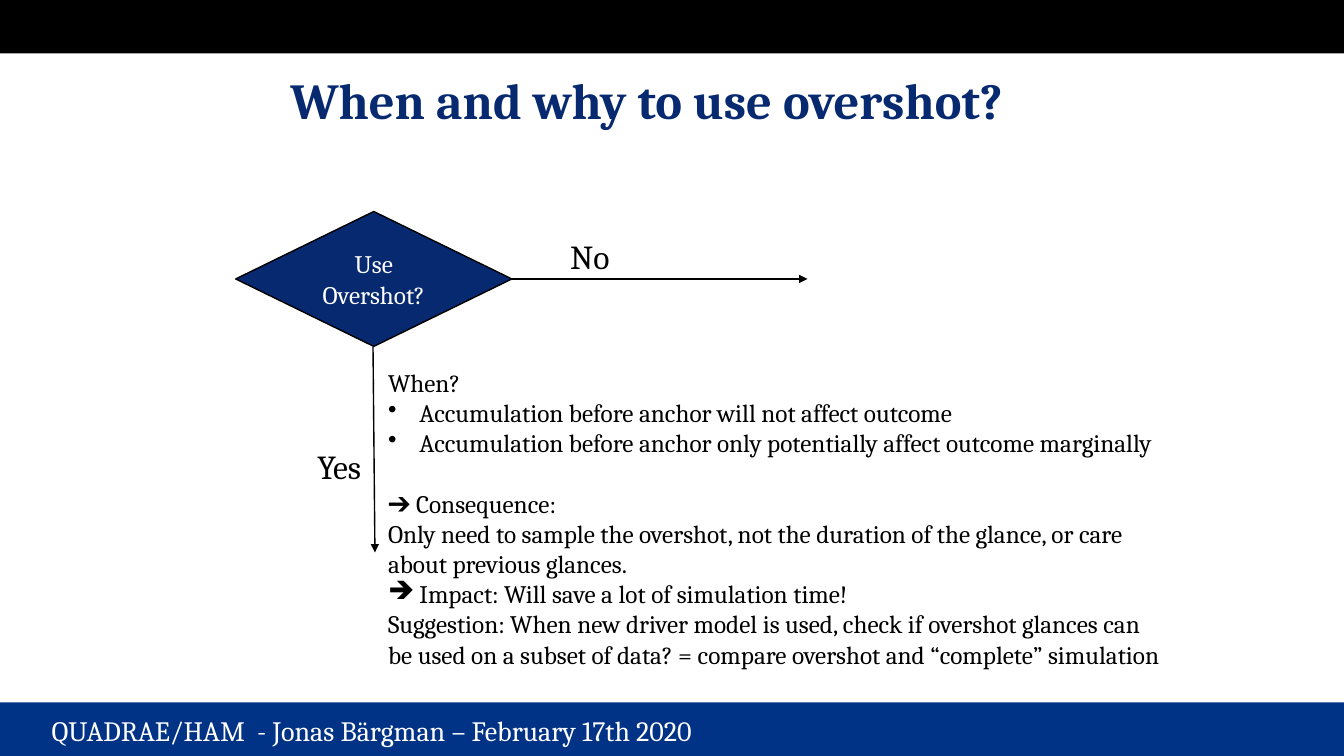
from dataclasses import dataclass

from lxml import etree
from pptx import Presentation
from pptx.dml.color import RGBColor
from pptx.enum.shapes import MSO_CONNECTOR, MSO_SHAPE
from pptx.enum.text import MSO_ANCHOR, PP_ALIGN
from pptx.oxml.ns import qn
from pptx.shapes.autoshape import Shape
from pptx.slide import Slide
from pptx.text.text import TextFrame
from pptx.util import Cm, Pt

RECT = MSO_SHAPE.RECTANGLE
CHOICE = MSO_SHAPE.FLOWCHART_DECISION
STRAIGHT = MSO_CONNECTOR.STRAIGHT
LEFT = PP_ALIGN.LEFT
CENTER = PP_ALIGN.CENTER
MIDDLE = MSO_ANCHOR.MIDDLE


@dataclass(frozen=True)
class Theme:
    font: str = "Cambria"
    black: str = "000000"
    white: str = "FFFFFF"
    navy: str = "072970"
    blue: str = "003286"
    title: int = 36
    label: int = 24
    foot: int = 20
    body: int = 18


@dataclass(frozen=True)
class Box:
    left: float
    top: float
    width: float
    height: float

    def size(self) -> tuple[Cm, Cm, Cm, Cm]:
        return Cm(self.left), Cm(self.top), Cm(self.width), Cm(self.height)


@dataclass(frozen=True)
class Label:
    text: str
    box: Box
    size: int
    color: str
    wrap: bool = True


@dataclass(frozen=True)
class Arrow:
    x1: float
    y1: float
    x2: float
    y2: float


@dataclass(frozen=True)
class Line:
    text: str
    mark: str = ""
    gap: float = 0


THEME = Theme()
WIDTH, HEIGHT, BAND = 33.87, 19.05, 1.35
TITLE = Box(3.94, 0.91, 24.71, 3.18)
DIAMOND = Box(5.94, 5.33, 6.96, 3.4)
NOTES = Box(9.53, 9.12, 19.99, 8.71)

BANDS = [
    (Box(0, 0, WIDTH, BAND), THEME.black),
    (Box(0, HEIGHT - BAND, WIDTH, BAND), THEME.blue),
]
LABELS = [
    Label("QUADRAE/HAM  - Jonas Bärgman – February 17th 2020",
          Box(1.05, 17.86, 32.82, 1.11), THEME.foot, THEME.white),
    Label("No", Box(14.12, 5.82, 1.55, 1.27), THEME.label, THEME.black, False),
    Label("Yes", Box(7.75, 11.1, 1.75, 1.27), THEME.label, THEME.black, False),
]
ARROWS = [Arrow(9.4, 8.74, 9.45, 13.92), Arrow(12.88, 7.03, 20.35, 7.03)]
LINES = [
    Line("When?"),
    Line("Accumulation before anchor will not affect outcome", "•"),
    Line("Accumulation before anchor only potentially affect outcome marginally", "•"),
    Line("➔ Consequence:", gap=21.6),
    Line("Only need to sample the overshot, not the duration of the glance, "
         "or care about previous glances."),
    Line("Impact: Will save a lot of simulation time!", "➔"),
    Line("Suggestion: When new driver model is used, check if overshot glances can "
         "be used on a subset of data? = compare overshot and “complete” simulation"),
]


def style(frame: TextFrame, size: int, color: str,
          align: PP_ALIGN = LEFT, bold: bool = False) -> None:
    for para in frame.paragraphs:
        para.alignment = align
        for run in para.runs:
            run.font.name = THEME.font
            run.font.size = Pt(size)
            run.font.bold = bold
            run.font.color.rgb = RGBColor.from_string(color)


def add_form(slide: Slide, kind: MSO_SHAPE, box: Box, color: str) -> Shape:
    form = slide.shapes.add_shape(kind, *box.size())
    form.shadow.inherit = False
    form.fill.solid()
    form.fill.fore_color.rgb = RGBColor.from_string(color)
    form.line.fill.background()
    return form


def add_label(slide: Slide, label: Label) -> None:
    frame = slide.shapes.add_textbox(*label.box.size()).text_frame
    frame.word_wrap = label.wrap
    frame.text = label.text
    style(frame, label.size, label.color)


def add_arrow(slide: Slide, arrow: Arrow) -> None:
    link = slide.shapes.add_connector(
        STRAIGHT, Cm(arrow.x1), Cm(arrow.y1), Cm(arrow.x2), Cm(arrow.y2))
    link.line.width = Pt(1)
    link.line.color.rgb = RGBColor.from_string(THEME.black)
    props = link._element.spPr
    etree.SubElement(props.find(qn("a:ln")), qn("a:tailEnd"), type="triangle")
    etree.SubElement(props, qn("a:effectLst"))


def add_title(slide: Slide) -> None:
    title = slide.shapes.title
    title.left, title.top, title.width, title.height = TITLE.size()
    frame = title.text_frame
    frame.text = "When and why to use overshot?"
    frame.vertical_anchor = MIDDLE
    style(frame, THEME.title, THEME.navy, CENTER, True)


def add_choice(slide: Slide) -> None:
    form = add_form(slide, CHOICE, DIAMOND, THEME.navy)
    form.line.width = Pt(1)
    form.line.color.rgb = RGBColor.from_string(THEME.black)
    frame = form.text_frame
    frame.text = "Use Overshot?"
    frame.word_wrap = True
    frame.vertical_anchor = MIDDLE
    style(frame, THEME.body, THEME.white, CENTER)


def add_notes(slide: Slide) -> None:
    frame = slide.shapes.add_textbox(*NOTES.size()).text_frame
    frame.word_wrap = True
    frame.text = "\n".join(line.text for line in LINES)
    style(frame, THEME.body, THEME.black)
    for para, line in zip(frame.paragraphs, LINES):
        para.space_before = Pt(line.gap)
        if line.mark:
            props = para._p.get_or_add_pPr()
            props.set("marL", str(Cm(0.79)))
            props.set("indent", str(-Cm(0.79)))
            etree.SubElement(props, qn("a:buChar"), char=line.mark)


def main() -> None:
    deck = Presentation()
    deck.slide_width, deck.slide_height = Cm(WIDTH), Cm(HEIGHT)
    slide = deck.slides.add_slide(deck.slide_layouts[5])
    for box, color in BANDS:
        add_form(slide, RECT, box, color)
    add_title(slide)
    add_choice(slide)
    for arrow in ARROWS:
        add_arrow(slide, arrow)
    for label in LABELS:
        add_label(slide, label)
    add_notes(slide)
    deck.save("out.pptx")


if __name__ == "__main__":
    main()
